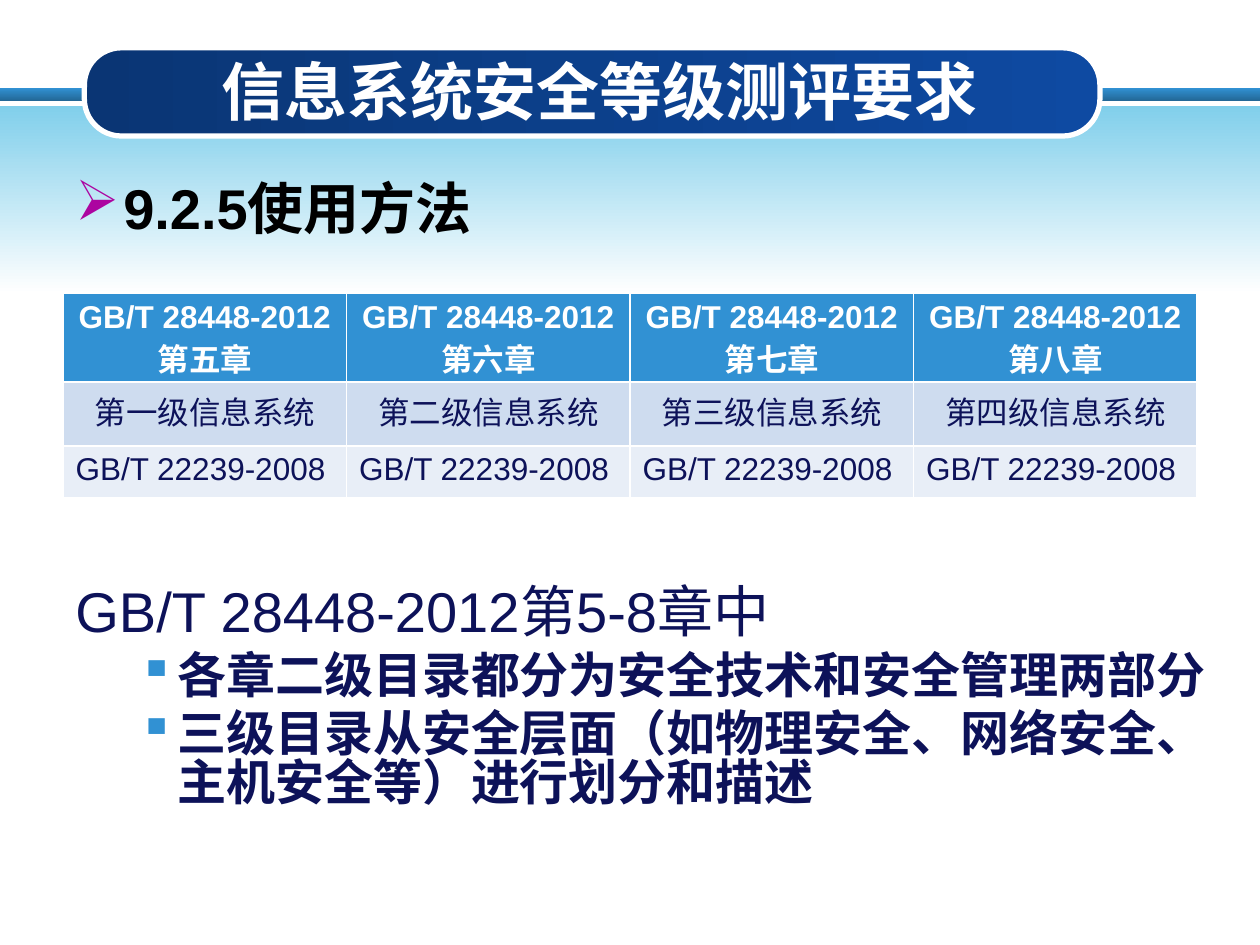
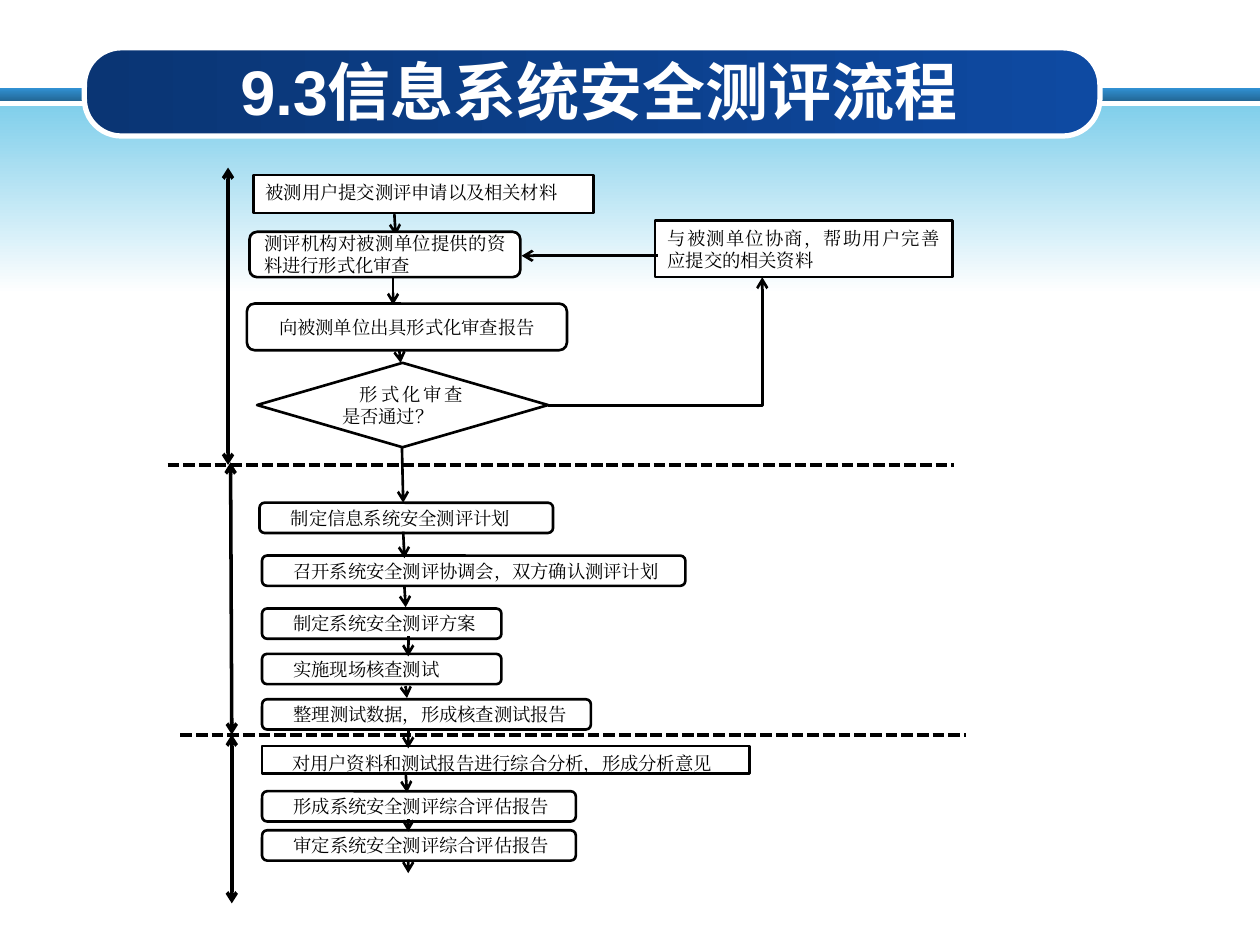
"""Build two slides on the requirements and the process of security assessment."""
from dataclasses import dataclass

from pptx import Presentation
from pptx.dml.color import RGBColor as RGB
from pptx.enum.dml import MSO_LINE as DASH
from pptx.enum.shapes import MSO_CONNECTOR as LINK, MSO_SHAPE as SHAPE
from pptx.enum.text import MSO_ANCHOR as ANCHOR, MSO_AUTO_SIZE as FIT, PP_ALIGN as ALIGN
from pptx.oxml.ns import qn
from pptx.util import Inches, Pt
from lxml.etree import SubElement


@dataclass(frozen=True)
class Theme:
    white: RGB = RGB.from_string("FFFFFF")
    black: RGB = RGB.from_string("000000")
    navy: RGB = RGB.from_string("0D1259")
    blue: RGB = RGB.from_string("3191D3")
    steel: RGB = RGB.from_string("236897")
    sky: RGB = RGB.from_string("81CFEB")
    pill_dark: RGB = RGB.from_string("0A3574")
    pill_light: RGB = RGB.from_string("0E4AA2")
    row_dark: RGB = RGB.from_string("CEDCEF")
    row_light: RGB = RGB.from_string("E8EEF7")
    purple: RGB = RGB.from_string("AC04A0")
    sans: str = "Arial"
    serif: str = "Times New Roman"
    cjk: str = "Noto Sans CJK SC"
    title_size: float = 36
    heading_size: float = 32
    point_size: float = 28
    table_size: float = 18
    step_size: float = 10.5


theme = Theme()


def write(paragraph, text, color, east_asian, **font_format):
    """Add a run with the given font values."""
    run = paragraph.add_run()
    run.text = text
    for name, value in font_format.items():
        setattr(run.font, name, value)
    run.font.color.rgb = color
    SubElement(run.font._element, qn("a:ea"), typeface=east_asian)


def connect(shapes, start, end, width=1.5, ends=("tailEnd",), kind=LINK.STRAIGHT):
    """Draw a black connector with open arrowheads at the named ends."""
    connector = shapes.add_connector(kind, *map(Inches, start + end))
    connector.line.width = Pt(width)
    connector.line.color.rgb = theme.black
    for end_name in ends:
        SubElement(connector.line._get_or_add_ln(), qn(f"a:{end_name}"), type="arrow")
    SubElement(connector._element.spPr, qn("a:effectLst"))
    return connector


deck = Presentation()
deck.slide_width, deck.slide_height = Inches(10), Inches(7.5)

bands = [
    (SHAPE.RECTANGLE, (0, 0.7, 10, 0.1), 270, theme.blue, theme.steel),
    (SHAPE.RECTANGLE, (0, 0.84, 10, 1.49), 270, theme.sky, theme.white),
    (SHAPE.ROUNDED_RECTANGLE, (0.67, 0.38, 8.06, 0.7), 0, theme.pill_dark, theme.pill_light),
]
slides = []
for title_text in ("信息系统安全等级测评要求", "9.3信息系统安全测评流程"):
    slide = deck.slides.add_slide(deck.slide_layouts[5])
    for outline, place, angle, *colors in bands:
        band = slide.shapes.add_shape(outline, *map(Inches, place))
        band.shadow.inherit = False
        band.fill.gradient()
        band.fill.gradient_angle = angle
        for stop, color in zip(band.fill.gradient_stops, colors):
            stop.color.rgb = color
        if outline == SHAPE.ROUNDED_RECTANGLE:
            band.adjustments[0] = 0.42
            band.line.color.rgb = theme.white
            band.line.width = Pt(3)
        else:
            band.line.fill.background()
    title = slide.shapes.title
    slide.shapes._spTree.append(title._element)
    title.left, title.top, title.width, title.height = map(Inches, (0.92, 0.41, 7.67, 0.62))
    frame = title.text_frame
    frame.auto_size = FIT.NONE
    frame.vertical_anchor = ANCHOR.MIDDLE
    frame.paragraphs[0].alignment = ALIGN.CENTER
    write(frame.paragraphs[0], title_text, theme.white, theme.sans,
          name=theme.sans, size=Pt(theme.title_size), bold=True)
    slides.append(slide)

requirements, process = slides

heading_font = dict(name=theme.sans, size=Pt(theme.heading_size))
point_font = dict(name=theme.cjk, size=Pt(theme.point_size), bold=True)
point_bullet = ("▪", theme.blue, 0.81, 0.31)
passages = [
    ((0.5, 1.33, 9.25, 0.75), [
        ("9.2.5使用方法", theme.black, theme.sans, dict(heading_font, bold=True),
         ("➢", theme.purple, 0.38, 0.38)),
    ]),
    ((0.5, 4.53, 9.25, 2.38), [
        ("GB/T 28448-2012第5-8章中", theme.navy, theme.sans, heading_font, None),
        ("各章二级目录都分为安全技术和安全管理两部分",
         theme.navy, theme.cjk, point_font, point_bullet),
        ("三级目录从安全层面（如物理安全、网络安全、主机安全等）进行划分和描述",
         theme.navy, theme.cjk, point_font, point_bullet),
    ]),
]
for place, lines in passages:
    frame = requirements.shapes.add_textbox(*map(Inches, place)).text_frame
    frame.word_wrap = True
    for index, (text, color, east_asian, font, bullet) in enumerate(lines):
        paragraph = frame.add_paragraph() if index else frame.paragraphs[0]
        if index:
            paragraph.space_before = Pt(0.2 * theme.point_size)
            paragraph.line_spacing = 0.83
        if bullet:
            mark, mark_color, margin, hang = bullet
            properties = paragraph._p.get_or_add_pPr()
            properties.set("marL", str(Inches(margin)))
            properties.set("indent", str(-Inches(hang)))
            bullet_color = SubElement(properties, qn("a:buClr"))
            SubElement(bullet_color, qn("a:srgbClr"), val=str(mark_color))
            SubElement(properties, qn("a:buChar"), char=mark)
        write(paragraph, text, color, east_asian, **font)

levels = [("五", "一"), ("六", "二"), ("七", "三"), ("八", "四")]
standards = requirements.shapes.add_table(
    3, len(levels), *map(Inches, (0.5, 2.33, 9, 1.62))).table
for row, height in zip(standards.rows, (0.7, 0.51, 0.41)):
    row.height = Inches(height)
for column, (chapter, level) in enumerate(levels):
    standards.columns[column].width = Inches(2.25)
    entries = [
        ([("GB/T 28448-2012", theme.sans), (f"第{chapter}章", theme.serif)],
         theme.blue, theme.white, ALIGN.CENTER),
        ([(f"第{level}级信息系统", theme.serif)], theme.row_dark, theme.navy, ALIGN.CENTER),
        ([("GB/T 22239-2008", theme.sans)], theme.row_light, theme.navy, ALIGN.LEFT),
    ]
    for row, (parts, fill, color, alignment) in enumerate(entries):
        cell = standards.cell(row, column)
        cell.fill.solid()
        cell.fill.fore_color.rgb = fill
        paragraph = cell.text_frame.paragraphs[0]
        paragraph.alignment = alignment
        for text, font_name in parts:
            write(paragraph, text, color, theme.cjk, name=font_name,
                  size=Pt(theme.table_size), bold=row == 0)

connect(process.shapes, (3.13, 1.7), (3.14, 1.87))

box, rounded, decision = SHAPE.RECTANGLE, SHAPE.ROUNDED_RECTANGLE, SHAPE.FLOWCHART_DECISION
steps = [
    ("与被测单位协商，帮助用户完善应提交的相关资料", box, (5.2, 1.75, 2.36, 0.45), 0, True),
    ("被测用户提交测评申请以及相关材料", box, (2.01, 1.39, 2.7, 0.3), 0, True),
    ("测评机构对被测单位提供的资料进行形式化审查", rounded, (1.98, 1.84, 2.15, 0.36), 0, True),
    ("向被测单位出具形式化审查报告", rounded, (1.96, 2.41, 2.54, 0.37), 0.14, False),
    ("形式化审查是否通过？", decision, (2.04, 2.88, 2.31, 0.67), 0.14, False),
    ("制定信息系统安全测评计划", rounded, (2.06, 3.99, 2.33, 0.24), 0.14, True),
    ("召开系统安全测评协调会，双方确认测评计划", rounded, (2.08, 4.41, 3.36, 0.24), 0.14, True),
    ("制定系统安全测评方案", rounded, (2.08, 4.83, 1.9, 0.24), 0.14, True),
    ("实施现场核查测试", rounded, (2.08, 5.19, 1.9, 0.24), 0.14, True),
    ("整理测试数据，形成核查测试报告", rounded, (2.08, 5.55, 2.61, 0.24), 0.14, True),
    ("对用户资料和测试报告进行综合分析，形成分析意见", box, (2.08, 5.92, 3.87, 0.22), 0.14, True),
    ("形成系统安全测评综合评估报告", rounded, (2.08, 6.28, 2.49, 0.24), 0.14, True),
    ("审定系统安全测评综合评估报告", rounded, (2.08, 6.59, 2.49, 0.24), 0.14, True),
]
for text, outline, place, indent, filled in steps:
    step = process.shapes.add_shape(outline, *map(Inches, place))
    step.shadow.inherit = False
    if filled:
        step.fill.solid()
        step.fill.fore_color.rgb = theme.white
    else:
        step.fill.background()
    step.line.color.rgb = theme.black
    step.line.width = Pt(1.5)
    frame = step.text_frame
    frame.word_wrap = True
    frame.vertical_anchor = ANCHOR.TOP if outline == box else ANCHOR.MIDDLE
    paragraph = frame.paragraphs[0]
    paragraph.alignment = ALIGN.JUSTIFY
    paragraph._p.get_or_add_pPr().set("indent", str(Inches(indent)))
    write(paragraph, text, theme.black, theme.serif,
          name=theme.serif, size=Pt(theme.step_size))

flow = [
    ((5.22, 2.03), (4.14, 2.03)),
    ((3.12, 2.21), (3.12, 2.42)),
    ((3.17, 2.79), (3.18, 2.88)),
    ((3.19, 3.54), (3.2, 3.99)),
    ((3.2, 4.22), (3.21, 4.43)),
    ((3.21, 4.66), (3.22, 4.82)),
    ((3.24, 5.05), (3.24, 5.21)),
    ((3.22, 5.45), (3.23, 5.54)),
    ((3.24, 5.78), (3.24, 5.94)),
    ((3.22, 6.13), (3.23, 6.29)),
    ((3.24, 6.5), (3.24, 6.6)),
    ((3.24, 6.84), (3.24, 6.93)),
]
for start, end in flow:
    connect(process.shapes, start, end)

rejection = connect(process.shapes, (4.35, 3.22), (6.05, 2.2), kind=LINK.ELBOW)
rejection._element.spPr.find(qn("a:prstGeom")).set("prst", "bentConnector2")

phases = [((1.81, 1.33), (1.81, 3.69)), ((1.83, 3.67), (1.84, 5.83)), ((1.84, 5.83), (1.84, 7.17))]
for start, end in phases:
    connect(process.shapes, start, end, width=2, ends=("headEnd", "tailEnd"))

for left, top in ((1.33, 3.69), (1.43, 5.83)):
    divider = connect(process.shapes, (left, top), (left + 6.24, top), width=2.25, ends=())
    divider.line.dash_style = DASH.SQUARE_DOT

deck.save("out.pptx")
